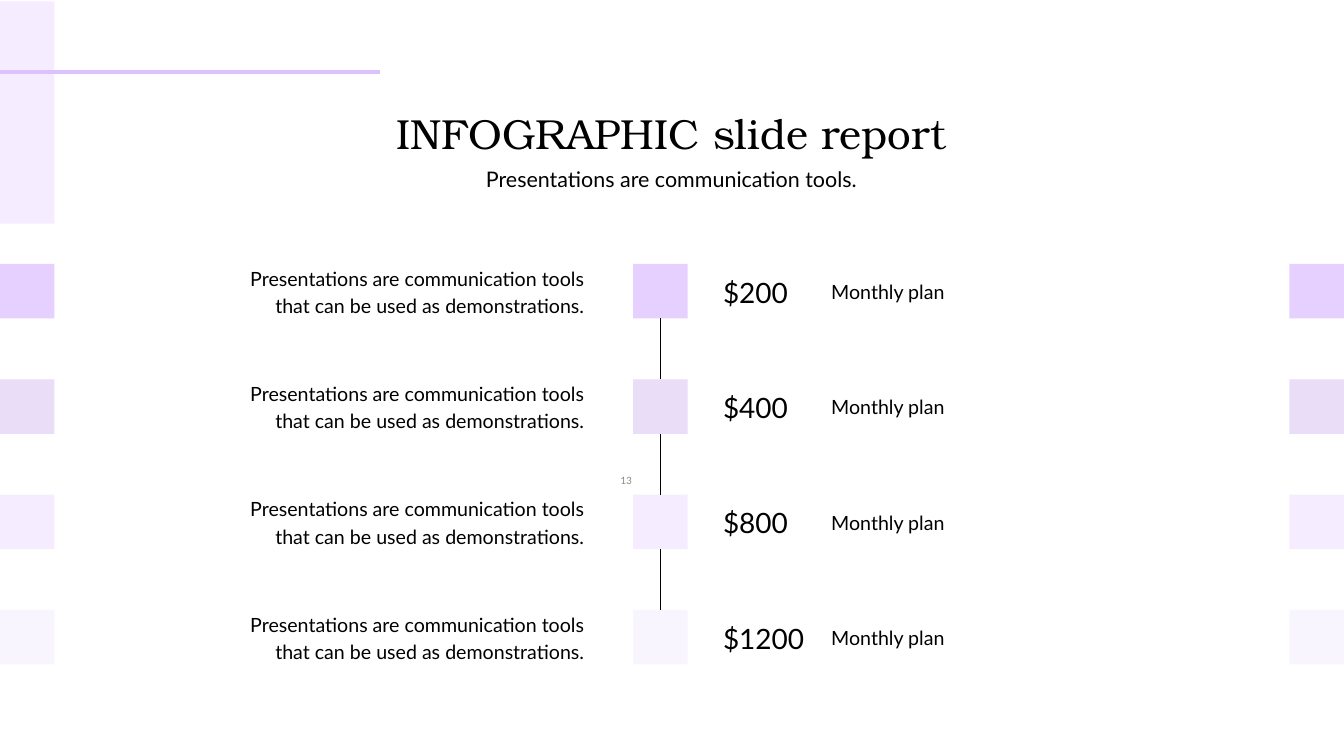
from lxml import etree
from pptx import Presentation
from pptx.dml.color import RGBColor
from pptx.enum.shapes import MSO_CONNECTOR, MSO_SHAPE
from pptx.enum.text import MSO_ANCHOR, MSO_AUTO_SIZE, PP_ALIGN
from pptx.oxml.ns import qn
from pptx.util import Cm, Pt

LEFT, CENTER, RIGHT, JUSTIFY = PP_ALIGN.LEFT, PP_ALIGN.CENTER, PP_ALIGN.RIGHT, PP_ALIGN.JUSTIFY
TOP, MIDDLE = MSO_ANCHOR.TOP, MSO_ANCHOR.MIDDLE
STRAIGHT, RECTANGLE = MSO_CONNECTOR.STRAIGHT, MSO_SHAPE.RECTANGLE

# Content
TITLE = "INFOGRAPHIC slide report"
SUBTITLE = "Presentations are communication tools."
DESCRIPTION = "Presentations are communication tools that can be used as demonstrations."
PLAN = "Monthly plan"
PAGE_NUMBER = "13"
ROWS = [  # price, colour of the row's squares
    ("$200", "violet"),
    ("$400", "mauve"),
    ("$800", "lilac"),
    ("$1200", "mist"),
]
COLORS = {
    "text": "000000", "number": "8C8C8C", "rule": "DCC2FD",
    "violet": "E5D0FF", "mauve": "E9DDF8", "lilac": "F5EDFF", "mist": "F9F5FF",
}

# Grid, in centimetres
PAGE_WIDTH, PAGE_HEIGHT = 50.8, 28.58
SQUARE = 2.06
FIRST_ROW, ROW_STEP = 9.98, 4.36
TIMELINE_LEFT = 23.93
EDGES = (0, PAGE_WIDTH - SQUARE)

deck = Presentation()
deck.slide_width, deck.slide_height = Cm(PAGE_WIDTH), Cm(PAGE_HEIGHT)
page = deck.slides.add_slide(deck.slide_layouts[5])


def color(name):
    return RGBColor.from_string(COLORS[name])


def add_text(text, left, top, width, height, box=None, size=21, font="Lato",
             fill="text", align=LEFT, anchor=TOP, spacing=None, inset=0):
    if box is None:
        box = page.shapes.add_textbox(0, 0, 0, 0)
    box.left, box.top, box.width, box.height = Cm(left), Cm(top), Cm(width), Cm(height)
    frame = box.text_frame
    frame.word_wrap = True
    frame.auto_size = MSO_AUTO_SIZE.NONE
    frame.vertical_anchor = anchor
    frame.margin_left = frame.margin_right = Cm(inset)
    frame.margin_top = frame.margin_bottom = 0
    para = frame.paragraphs[0]
    para.alignment = align
    if spacing:
        para.line_spacing = Pt(spacing)
    span = para.add_run()
    span.text = text
    span.font.size, span.font.name = Pt(size), font
    span.font.color.rgb = color(fill)


def add_block(left, top, width, height, fill):
    block = page.shapes.add_shape(RECTANGLE, Cm(left), Cm(top), Cm(width), Cm(height))
    block.shadow.inherit = False
    block.fill.solid()
    block.fill.fore_color.rgb = color(fill)
    block.line.fill.background()
    return block


def add_line(start, end, stroke, width):
    line = page.shapes.add_connector(
        STRAIGHT, Cm(start[0]), Cm(start[1]), Cm(end[0]), Cm(end[1]))
    line.line.color.rgb = color(stroke)
    line.line.width = Pt(width)
    etree.SubElement(line._element.spPr, qn("a:effectLst"))
    return line


# Heading
add_text(TITLE, 2.84, 3.76, 45.08, 4.37, box=page.shapes.title, size=45,
         font="TeX Gyre Bonum", align=CENTER, spacing=63)
add_text(SUBTITLE, 17.42, 6.1, 15.93, 1.12, size=23, align=CENTER, spacing=32.2)

# Corner decoration
add_block(0, 0.05, SQUARE, 8.41, "lilac")
add_line((0, 2.72), (14.35, 2.72), "rule", 3.75)

# Price rows, each joined to the one above
previous = None
for index, (price, tint) in enumerate(ROWS):
    top = FIRST_ROW + index * ROW_STEP
    add_text(DESCRIPTION, 8.92, top - 0.05, 13.16, 2.06, align=RIGHT, spacing=29.4)
    add_text(price, 27.33, top + 0.21, 4.09, 1.45, size=30, spacing=42)
    add_text(PLAN, 31.42, top + 0.46, 13.16, 1.02, align=JUSTIFY, spacing=29.4)
    for left in EDGES:
        add_block(left, top, SQUARE, SQUARE, tint)
    square = add_block(TIMELINE_LEFT, top, SQUARE, SQUARE, tint)
    if previous is not None:
        link = add_line((0, 0), (0, 0), "text", 0.75)
        link.begin_connect(previous, 2)
        link.end_connect(square, 0)
    previous = square

# Page number
add_text(PAGE_NUMBER, 18.21, 17.65, 5.92, 1.02, size=12, font="Calibri",
         fill="number", align=RIGHT, anchor=MIDDLE, inset=0.25)

deck.save("out.pptx")
